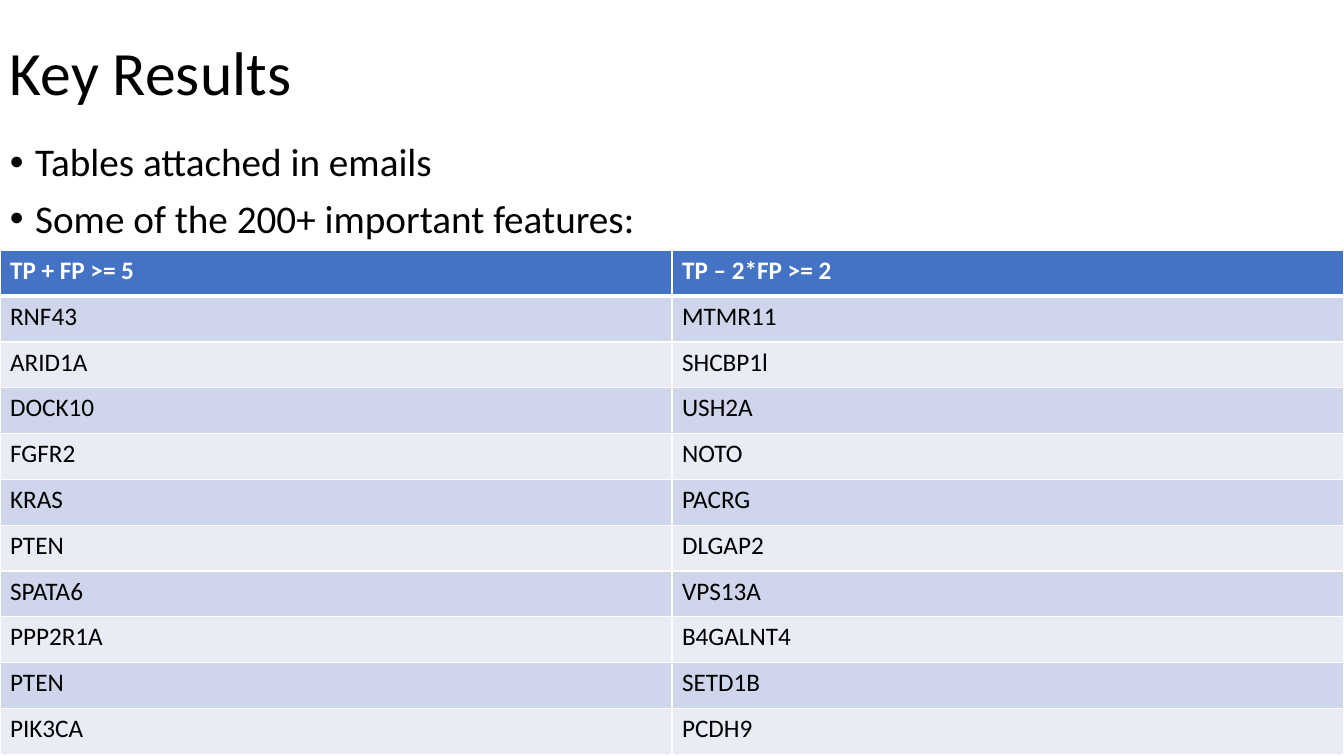
from lxml.etree import SubElement
from pptx import Presentation
from pptx.dml.color import RGBColor
from pptx.enum.text import MSO_ANCHOR
from pptx.oxml.ns import qn
from pptx.util import Pt

# Content
TITLE = "Key Results"
BULLETS = ["Tables attached in emails", "Some of the 200+ important features:"]
FEATURES = [
    ("TP + FP >= 5", "TP – 2*FP >= 2"),
    ("RNF43", "MTMR11"),
    ("ARID1A", "SHCBP1l"),
    ("DOCK10", "USH2A"),
    ("FGFR2", "NOTO"),
    ("KRAS", "PACRG"),
    ("PTEN", "DLGAP2"),
    ("SPATA6", "VPS13A"),
    ("PPP2R1A", "B4GALNT4"),
    ("PTEN", "SETD1B"),
    ("PIK3CA", "PCDH9"),
]

# Theme and layout, in points
THEME = {
    "font": "Calibri", "text": "000000", "white": "FFFFFF",
    "header": "4472C4", "bands": ("CFD5EA", "E9EBF5"),
    "title_size": 44, "bullet_size": 28, "table_size": 18,
    "border": 1, "header_border": 3,
}
WIDTH, HEIGHT = 960, 540
TITLE_BOX = (0, 1.44, 828, 104.4)
BULLET_BOX = (0, 98.64, WIDTH, 441.36)
TABLE_BOX = (0, 178.9, WIDTH, 360)
BULLET_INDENT = 18


def apply(target, values):
    for name, value in values.items():
        setattr(target, name, value)


def write(paragraph, text, size, color=THEME["text"], bold=False):
    run = paragraph.add_run()
    run.text = text
    apply(run.font, {"name": THEME["font"], "size": Pt(size), "bold": bold})
    run.font.color.rgb = RGBColor.from_string(color)


def add_text(slide, box, lines, size, anchor, paragraph_format):
    frame = slide.shapes.add_textbox(*map(Pt, box)).text_frame
    apply(frame, {"word_wrap": True, "vertical_anchor": anchor})
    for index, line in enumerate(lines):
        paragraph = frame.add_paragraph() if index else frame.paragraphs[0]
        apply(paragraph, paragraph_format)
        write(paragraph, line, size)
    return frame


def add_bullet(paragraph):
    properties = paragraph._p.get_or_add_pPr()
    properties.set("marL", str(Pt(BULLET_INDENT)))
    properties.set("indent", str(-Pt(BULLET_INDENT)))
    SubElement(properties, qn("a:buFont"), typeface="Arial")
    SubElement(properties, qn("a:buChar"), char="•")


def set_borders(cell, widths):
    properties = cell._tc.get_or_add_tcPr()
    for index, (side, width) in enumerate(widths.items()):
        line = SubElement(properties, qn(f"a:ln{side}"), w=str(Pt(width)))
        fill = SubElement(line, qn("a:solidFill"))
        SubElement(fill, qn("a:srgbClr"), val=THEME["white"])
        properties.insert(index, line)


def add_features(slide):
    left, top, width, height = TABLE_BOX
    row_count, column_count = len(FEATURES), len(FEATURES[0])
    table = slide.shapes.add_table(row_count, column_count, *map(Pt, TABLE_BOX)).table
    for column in table.columns:
        column.width = Pt(width / column_count)
    for row_index, values in enumerate(FEATURES):
        table.rows[row_index].height = Pt(height / row_count)
        header = row_index == 0
        fill = THEME["header"] if header else THEME["bands"][(row_index - 1) % 2]
        color = THEME["white"] if header else THEME["text"]
        widths = dict.fromkeys("LRTB", THEME["border"])
        if row_index < 2:
            widths["B" if header else "T"] = THEME["header_border"]
        for column_index, value in enumerate(values):
            cell = table.cell(row_index, column_index)
            cell.fill.solid()
            cell.fill.fore_color.rgb = RGBColor.from_string(fill)
            set_borders(cell, widths)
            write(cell.text_frame.paragraphs[0], value, THEME["table_size"], color, header)


def main():
    presentation = Presentation()
    apply(presentation, {"slide_width": Pt(WIDTH), "slide_height": Pt(HEIGHT)})
    slide = presentation.slides.add_slide(presentation.slide_layouts[6])

    # Title and bullets
    add_text(slide, TITLE_BOX, [TITLE], THEME["title_size"], MSO_ANCHOR.MIDDLE,
             {"line_spacing": 0.9})
    body = add_text(slide, BULLET_BOX, BULLETS, THEME["bullet_size"], MSO_ANCHOR.TOP,
                    {"line_spacing": 0.9, "space_before": Pt(10)})
    for paragraph in body.paragraphs:
        add_bullet(paragraph)

    # Feature table
    add_features(slide)
    presentation.save("out.pptx")


if __name__ == "__main__":
    main()
